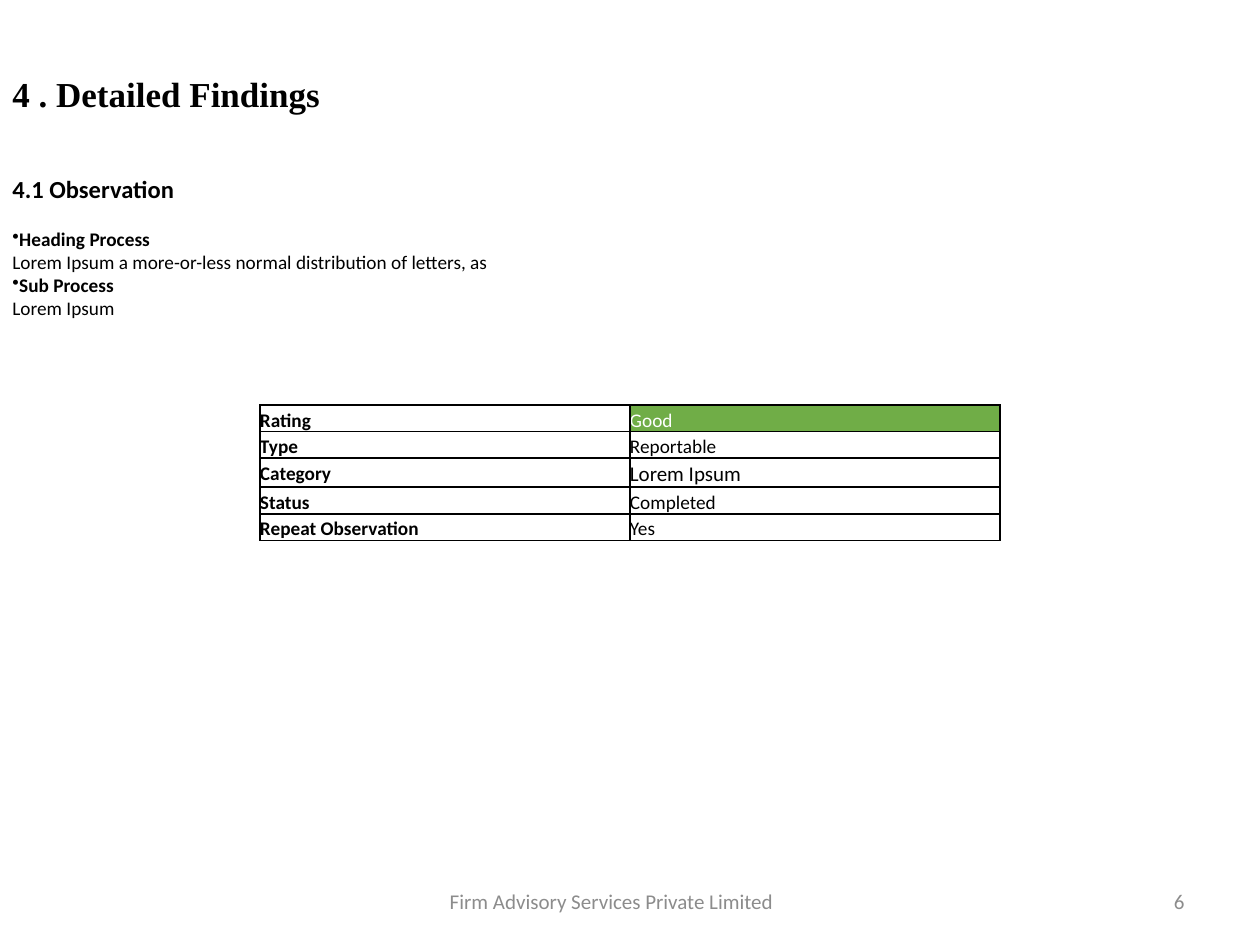
from lxml.etree import SubElement
from pptx import Presentation
from pptx.dml.color import RGBColor
from pptx.enum.text import MSO_ANCHOR, PP_ALIGN
from pptx.oxml.ns import qn
from pptx.util import Pt

SCALE = 914400 // 126
COLORS = {"ink": "000000", "paper": "FFFFFF", "good": "70AD47", "gray": "8C8C8C"}
ROWS = [
    ("Rating", "Good"),
    ("Type", "Reportable"),
    ("Category", "Lorem Ipsum"),
    ("Status", "Completed"),
    ("Repeat Observation", "Yes"),
]
NOTES = [
    ("Heading Process", True),
    ("Lorem Ipsum a more-or-less normal distribution of letters, as", False),
    ("Sub Process", True),
    ("Lorem Ipsum", False),
]


def px(count):
    """Turn pixels into EMU."""
    return int(count * SCALE)


def style(para, size, color="ink", bold=False, face="Calibri"):
    """Format every run of a paragraph."""
    for run in para.runs:
        font = run.font
        font.size, font.bold, font.name = Pt(size), bold, face
        font.color.rgb = RGBColor.from_string(COLORS[color])


def add_text(slide, box, text, anchor=MSO_ANCHOR.TOP):
    """Add a wrapped text box and return its frame."""
    frame = slide.shapes.add_textbox(*map(px, box)).text_frame
    frame.word_wrap = True
    frame.vertical_anchor = anchor
    frame.text = text
    return frame


def add_title(slide, box):
    """Place the page title."""
    para = add_text(slide, box, "4 . Detailed Findings").paragraphs[0]
    style(para, 20, bold=True, face="Times New Roman")


def add_bullet(para):
    """Give a paragraph a bullet flush with the text."""
    props = para._p.get_or_add_pPr()
    props.set("marL", "0")
    props.set("indent", "0")
    SubElement(props, qn("a:buChar"), char="•")


def add_notes(slide, box):
    """Place the section heading and its bulleted notes."""
    frame = add_text(slide, box, "4.1 Observation")
    style(frame.paragraphs[0], 14, bold=True)
    for index, (text, head) in enumerate(NOTES):
        para = frame.add_paragraph()
        para.text = text
        style(para, 11, bold=head)
        if index == 0:
            para.space_before = Pt(13.4)
        if head:
            add_bullet(para)


def add_edges(cell):
    """Draw a thin dark line on all four sides of a cell."""
    props = cell._tc.get_or_add_tcPr()
    for side in "LRTB":
        line = SubElement(props, qn(f"a:ln{side}"), w=str(Pt(1)))
        fill = SubElement(line, qn("a:solidFill"))
        SubElement(fill, qn("a:srgbClr"), val=COLORS["ink"])


def fill_cell(cell, text, size, color, bold):
    """Write and format one table cell."""
    cell.margin_left = cell.margin_right = cell.margin_top = cell.margin_bottom = 0
    cell.text = text
    para = cell.text_frame.paragraphs[0]
    para.line_spacing = 1.15
    style(para, size, color, bold)
    add_edges(cell)
    if color == "paper":
        cell.fill.solid()
        cell.fill.fore_color.rgb = RGBColor.from_string(COLORS["good"])
    else:
        cell.fill.background()


def add_grid(slide, box):
    """Place the rating table."""
    table = slide.shapes.add_table(len(ROWS), 2, *map(px, box)).table
    table.first_row = table.horz_banding = False
    for row, (label, value) in enumerate(ROWS):
        large = label == "Category"
        table.rows[row].height = px(28 if large else 26)
        fill_cell(table.cell(row, 0), label, 11, "ink", True)
        color = "paper" if value == "Good" else "ink"
        fill_cell(table.cell(row, 1), value, 12 if large else 11, color, False)


def add_footer(slide, box):
    """Place the firm name and the page number at the foot."""
    left, top, width, height = box
    parts = [
        (0, 399, "Firm Advisory Services Private Limited", PP_ALIGN.CENTER),
        (width - 294, 294, "6", PP_ALIGN.RIGHT),
    ]
    for shift, wide, text, align in parts:
        area = (left + shift, top, wide, height)
        para = add_text(slide, area, text, MSO_ANCHOR.MIDDLE).paragraphs[0]
        para.alignment = align
        style(para, 12, "gray")


def main():
    """Build and save the slide."""
    deck = Presentation()
    deck.slide_width, deck.slide_height = px(1260), px(945)
    slide = deck.slides.add_slide(deck.slide_layouts[6])
    add_title(slide, (0, 66, 1260, 52))
    add_footer(slide, (412, 876, 785, 50))
    add_grid(slide, (260, 405, 740, 132))
    add_notes(slide, (0, 168, 1260, 159))
    deck.save("out.pptx")


main()
